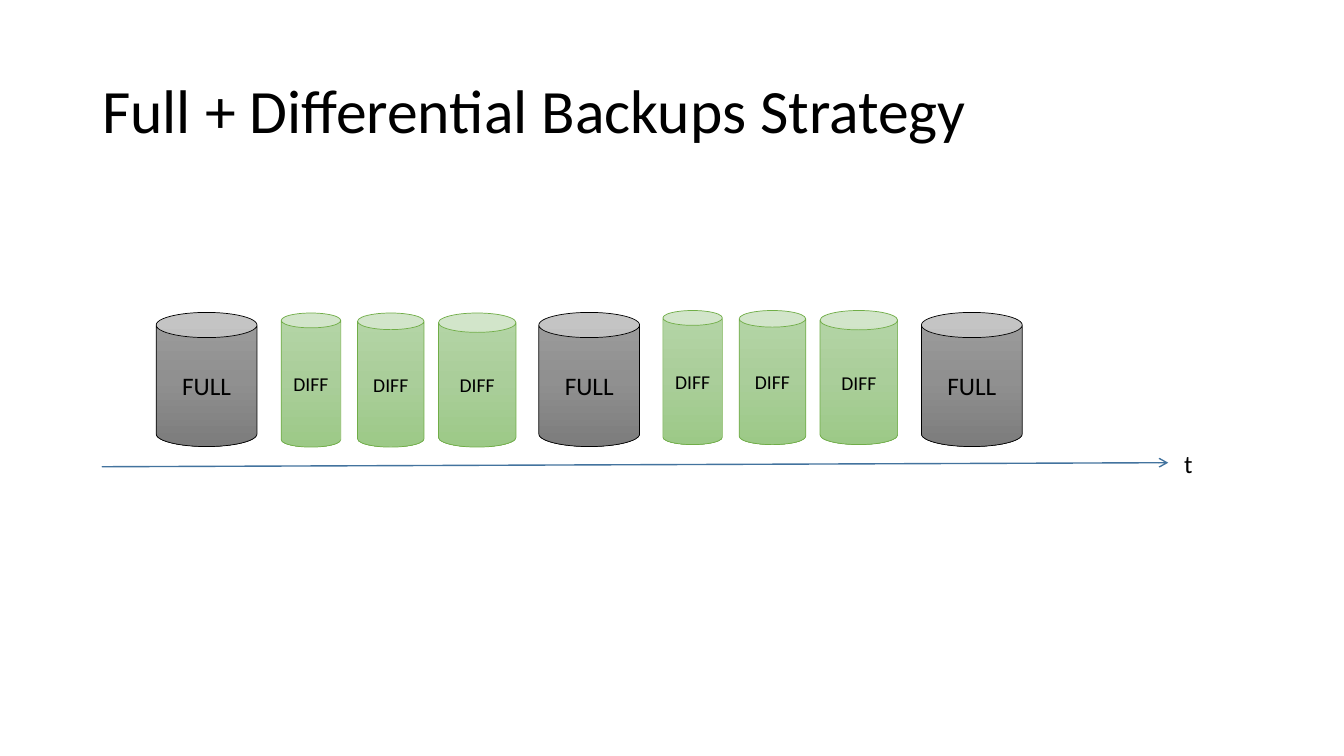
from copy import deepcopy
from dataclasses import dataclass

from lxml import etree
from pptx import Presentation
from pptx.dml.color import RGBColor
from pptx.enum.shapes import MSO_CONNECTOR, MSO_SHAPE
from pptx.enum.text import MSO_ANCHOR, PP_ALIGN
from pptx.oxml.ns import qn
from pptx.util import Pt

CAN = MSO_SHAPE.CAN
STRAIGHT = MSO_CONNECTOR.STRAIGHT
TOP, MIDDLE = MSO_ANCHOR.TOP, MSO_ANCHOR.MIDDLE
LEFT, CENTER = PP_ALIGN.LEFT, PP_ALIGN.CENTER


@dataclass(frozen=True)
class Theme:
    """Colours, font and type sizes of the slide."""
    font: str = "Calibri"
    ink: str = "000000"
    axis: str = "43739E"
    full_fill: tuple = ("9D9D9D", "909090", "7C7C7C")
    full_line: str = "000000"
    diff_fill: tuple = ("B5D5A7", "AACE9A", "9CC987")
    diff_line: str = "70AD47"
    title_size: float = 44
    label_size: float = 18
    diff_size: float = 14


THEME = Theme()
CAN_HEIGHT = 95.8
FULL_WIDTH = 72
FULL_PITCH = 273.3
DIFF_PITCH = 272.6
DIFF_RISE = 1.8
DIFF_SLOTS = ((89.3, 42.5), (143.8, 47.5), (201.6, 55.4))


def write_text(shape, text, size, align=CENTER, anchor=MIDDLE, spacing=1.0):
    """Put one formatted paragraph into a shape."""
    frame = shape.text_frame
    frame.word_wrap = True
    frame.vertical_anchor = anchor
    para = frame.paragraphs[0]
    para.alignment = align
    para.line_spacing = spacing
    span = para.add_run()
    span.text = text
    span.font.name = THEME.font
    span.font.size = Pt(size)
    span.font.color.rgb = RGBColor.from_string(THEME.ink)


def add_label(page, box, text, size, **text_format):
    """Add a text box with one paragraph."""
    label = page.shapes.add_textbox(*map(Pt, box))
    write_text(label, text, size, **text_format)


def fill_gradient(shape, colors):
    """Fill a shape from top to bottom with evenly spaced colours."""
    fill = shape.fill
    fill.gradient()
    fill.gradient_angle = 270
    stops = next(shape._element.spPr.iter(qn("a:gsLst")))
    while len(stops) < len(colors):
        stops.append(deepcopy(stops[0]))
    for index, (stop, color) in enumerate(zip(fill.gradient_stops, colors)):
        stop.position = index / (len(colors) - 1)
        stop.color.rgb = RGBColor.from_string(color)


def add_can(page, box, text, size, colors, line):
    """Add one backup drawn as a labelled can."""
    can = page.shapes.add_shape(CAN, *map(Pt, box))
    can.shadow.inherit = False
    fill_gradient(can, colors)
    can.line.color.rgb = RGBColor.from_string(line)
    can.line.width = Pt(0.5)
    write_text(can, text, size)


def add_backups(page, left, top):
    """Add three full backups with two groups of differentials between."""
    for cycle in range(3):
        box = (left + cycle * FULL_PITCH, top, FULL_WIDTH, CAN_HEIGHT)
        add_can(page, box, "FULL", THEME.label_size,
                THEME.full_fill, THEME.full_line)
    for cycle in range(2):
        for offset, width in DIFF_SLOTS:
            box = (left + cycle * DIFF_PITCH + offset,
                   top + 0.4 - cycle * DIFF_RISE, width, CAN_HEIGHT)
            add_can(page, box, "DIFF", THEME.diff_size,
                    THEME.diff_fill, THEME.diff_line)


def add_time_axis(page, left, top, width, rise):
    """Add the time arrow and its label."""
    right = left + width
    axis = page.shapes.add_connector(
        STRAIGHT, Pt(left), Pt(top), Pt(right), Pt(top - rise))
    axis.line.color.rgb = RGBColor.from_string(THEME.axis)
    axis.line.width = Pt(1)
    etree.SubElement(axis.line._get_or_add_ln(), qn("a:tailEnd"), type="arrow")
    etree.SubElement(axis._element.spPr, qn("a:effectLst"))
    add_label(page, (right - 93.6, top - 16.6, 216, 28.8), "t",
              THEME.label_size, anchor=TOP)


def main():
    """Build and save the deck."""
    deck = Presentation()
    deck.slide_width, deck.slide_height = Pt(960), Pt(540)
    page = deck.slides.add_slide(deck.slide_layouts[6])
    add_label(page, (66, 28.8, 828, 104.4),
              "Full + Differential Backups Strategy",
              THEME.title_size, align=LEFT, spacing=0.9)
    add_backups(page, left=111.6, top=223.2)
    add_time_axis(page, left=72.7, top=333.4, width=761.8, rise=2.9)
    deck.save("out.pptx")


if __name__ == "__main__":
    main()
